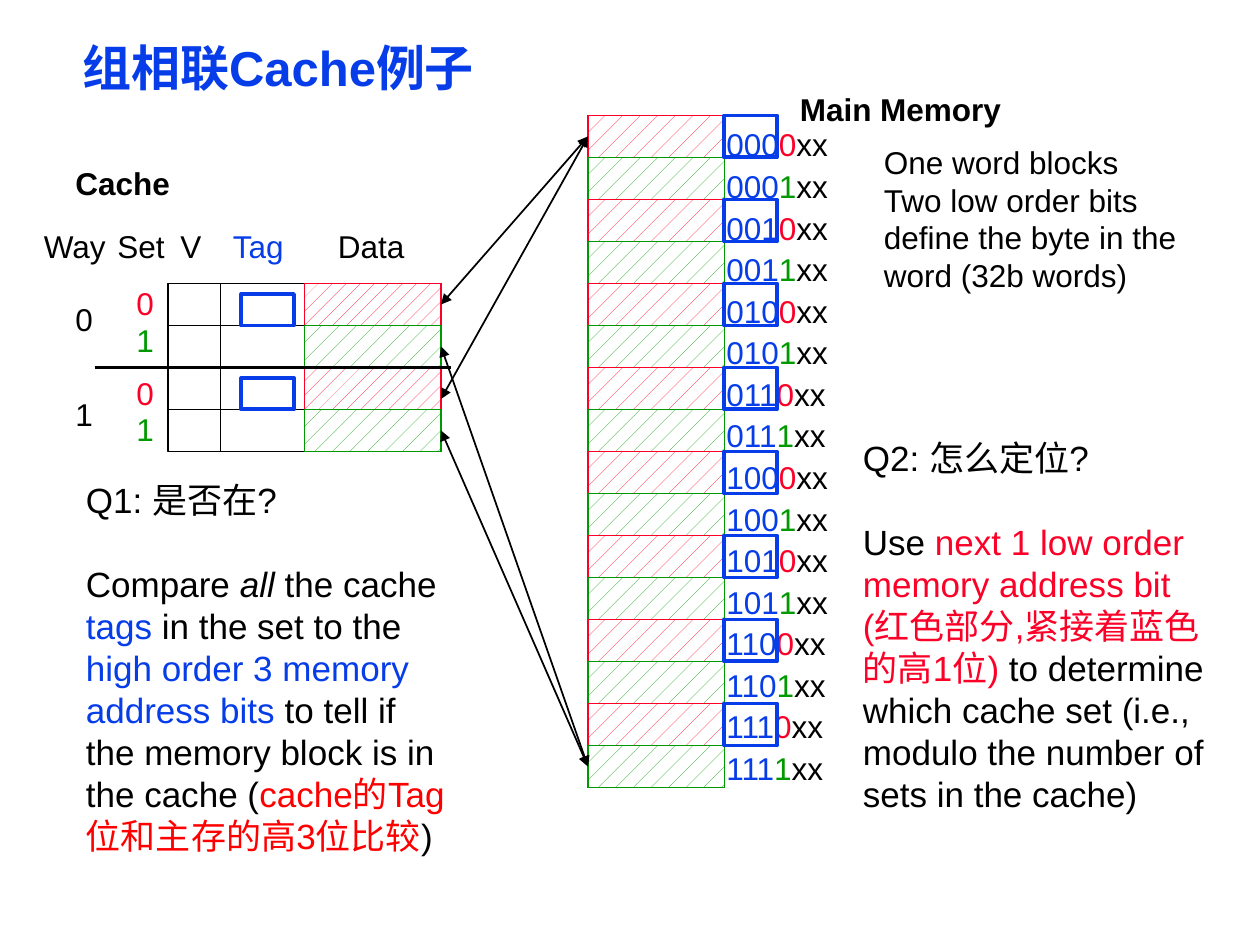
import lxml.etree
import pptx
import pptx.dml.color
import pptx.enum.dml
import pptx.enum.shapes
import pptx.enum.text
import pptx.oxml.ns
import pptx.util

HUES = {"ink": "000000", "blue": "063DE8", "red": "FC0128",
        "green": "009900", "warm": "FF0000", "white": "FFFFFF"}
SETS = ("red", "green")
TEXT = {"name": "Arial", "size": pptx.util.Pt(18), "bold": False}
ASK = {"size": pptx.util.Pt(20)}
HEAD = {"bold": True}
ROW = 4
TAG = 5
DATA = 13

deck = pptx.Presentation()
deck.slide_width = pptx.util.Inches(10)
deck.slide_height = pptx.util.Inches(7.5)
slide = deck.slides.add_slide(deck.slide_layouts[5])
unit = deck.slide_width / 120


def span(*nums):
    return [round(num * unit) for num in nums]


def tint(name):
    return pptx.dml.color.RGBColor.from_string(HUES[name])


def write(frame, paras, look):
    for num, runs in enumerate(paras):
        para = frame.paragraphs[0] if num == 0 else frame.add_paragraph()
        for words, hue, *more in runs:
            run = para.add_run()
            run.text = words
            for key, val in {**TEXT, **look, **(more[0] if more else {})}.items():
                setattr(run.font, key, val)
            run.font.color.rgb = tint(hue)


def note(box, paras, look={}, wrap=True):
    frame = slide.shapes.add_textbox(*span(*box)).text_frame
    frame.word_wrap = wrap
    frame.auto_size = pptx.enum.text.MSO_AUTO_SIZE.SHAPE_TO_FIT_TEXT
    write(frame, paras, look)
    return frame


def label(x, y, wide, words, hue="ink", look={}):
    note((x, y, wide, 4.8), [[(words, hue)]], look, False)


def rect(x, y, wide, high, hue, weight=1, dots=None):
    shape = slide.shapes.add_shape(
        pptx.enum.shapes.MSO_SHAPE.RECTANGLE, *span(x, y, wide, high))
    shape.shadow.inherit = False
    shape.line.color.rgb = tint(hue)
    shape.line.width = pptx.util.Pt(weight)
    if dots is None:
        shape.fill.background()
    else:
        shape.fill.patterned()
        shape.fill.pattern = dots
        shape.fill.fore_color.rgb = tint(hue)
        shape.fill.back_color.rgb = tint("white")


def rule(start, end, weight=1, arrow=False):
    link = slide.shapes.add_connector(
        pptx.enum.shapes.MSO_CONNECTOR.STRAIGHT, *span(*start, *end))
    link.line.color.rgb = tint("ink")
    link.line.width = pptx.util.Pt(weight)
    props = link._element.spPr
    name = pptx.oxml.ns.qn
    if arrow:
        line = props.find(name("a:ln"))
        for tip in ("a:headEnd", "a:tailEnd"):
            lxml.etree.SubElement(line, name(tip), type="triangle")
    lxml.etree.SubElement(props, name("a:effectLst"))


def column(x, y, wide, rows):
    rect(x, y, wide, rows * ROW, "ink")
    for num in range(1, rows):
        rule((x, y + num * ROW), (x + wide, y + num * ROW))


def blocks(x, y, rows, dots):
    column(x, y, DATA, rows)
    for num in range(rows):
        rect(x, y + num * ROW, DATA, ROW, SETS[num % 2], 1, dots[num % 2])


def title(x, y, wide, high):
    shape = slide.shapes.title
    shape.left, shape.top, shape.width, shape.height = span(x, y, wide, high)
    frame = shape.text_frame
    frame.margin_left = frame.margin_right = pptx.util.Inches(0.07)
    frame.margin_top = frame.margin_bottom = pptx.util.Inches(0.03)
    frame.auto_size = pptx.enum.text.MSO_AUTO_SIZE.SHAPE_TO_FIT_TEXT
    write(frame, [[("组相联Cache例子", "blue")]],
          {"size": pptx.util.Pt(28), "bold": True})
    frame.paragraphs[0].alignment = pptx.enum.text.PP_ALIGN.LEFT
    frame.paragraphs[0].line_spacing = 0.87


def cache(x, y):
    label(x - 10, y - 12, 11.4, "Cache", look=HEAD)
    heads = [(-13, 8.4, "Way", "ink"), (-6, 7, "Set", "ink"), (0, 4.4, "V", "ink"),
             (5, 7.6, "Tag", "blue"), (15, 8.8, "Data", "ink")]
    for left, wide, words, hue in heads:
        label(x + left, y - 6, wide, words, hue)
    column(x, y, 5, 4)
    column(x + 5, y, 8, 4)
    kind = pptx.enum.dml.MSO_PATTERN
    blocks(x + 13, y, 4, (kind.PERCENT_10, kind.PERCENT_5))
    for way in range(2):
        top = y + way * 2 * ROW
        label(x - 10, top + 1 + way, 4, str(way))
        for num, hue in enumerate(SETS):
            label(x - 4.2, top - 0.5 + way * 0.5 + num * 3.5, 4, str(num), hue)
        rect(x + 7, top + 1, 5, 3, "blue", 2.25)
    rule((x - 7, y + 2 * ROW), (x + 27, y + 2 * ROW), 2.25)


def memory(x, y):
    label(x + 19, y - 3, 21.6, "Main Memory", look=HEAD)
    blocks(x, y, 16, [pptx.enum.dml.MSO_PATTERN.PERCENT_5] * 2)
    codes = [[(f"{num // 2:03b}", "blue"), (str(num % 2), SETS[num % 2]),
              ("xx", "ink")] for num in range(16)]
    frame = note((x + 12, y, 13, 65.2), codes)
    for para in frame.paragraphs:
        para.line_spacing = 1.1
    for num in range(0, 16, 2):
        rect(x + DATA, y + num * ROW, TAG, ROW, "blue", 2.25)


def arrows(left, top, right, peak):
    for drop, slot in ((2, 0), (11, 0), (14, 15), (6, 15)):
        rule((right, peak + (slot + 0.5) * ROW), (left, top + drop), arrow=True)


def ask(box, paras):
    frame = note(box, paras, ASK)
    frame.paragraphs[1].space_before = pptx.util.Pt(24)


title(7, 4, 107, 5.5)
cache(16, 27)
memory(56, 11)
arrows(42, 27, 56, 11)
note((83, 13, 32, 15.7), [
    [("One word blocks", "ink")],
    [("Two low order bits define the byte in the word (32b words)", "ink")]])
ask((7, 45, 37, 37.5), [
    [("Q1: 是否在?", "ink")],
    [("Compare ", "ink"), ("all", "ink", {"italic": True}), (" the cache ", "ink"),
     ("tags", "blue"), (" in the set to the ", "ink"),
     ("high order 3 memory address bits", "blue"),
     (" to tell if the memory block is in the cache (", "ink"),
     ("cache的Tag位和主存的高3位比较", "warm"), (")", "ink")]])
ask((81, 41, 36, 37.5), [
    [("Q2: 怎么定位?", "ink")],
    [("Use", "ink"), (" next 1 low order memory address bit", "red")],
    [("(红色部分,紧接着蓝色的高1位) ", "red"),
     ("to determine which cache set (i.e., modulo the number of sets in the cache)",
      "ink")]])
deck.save("out.pptx")
